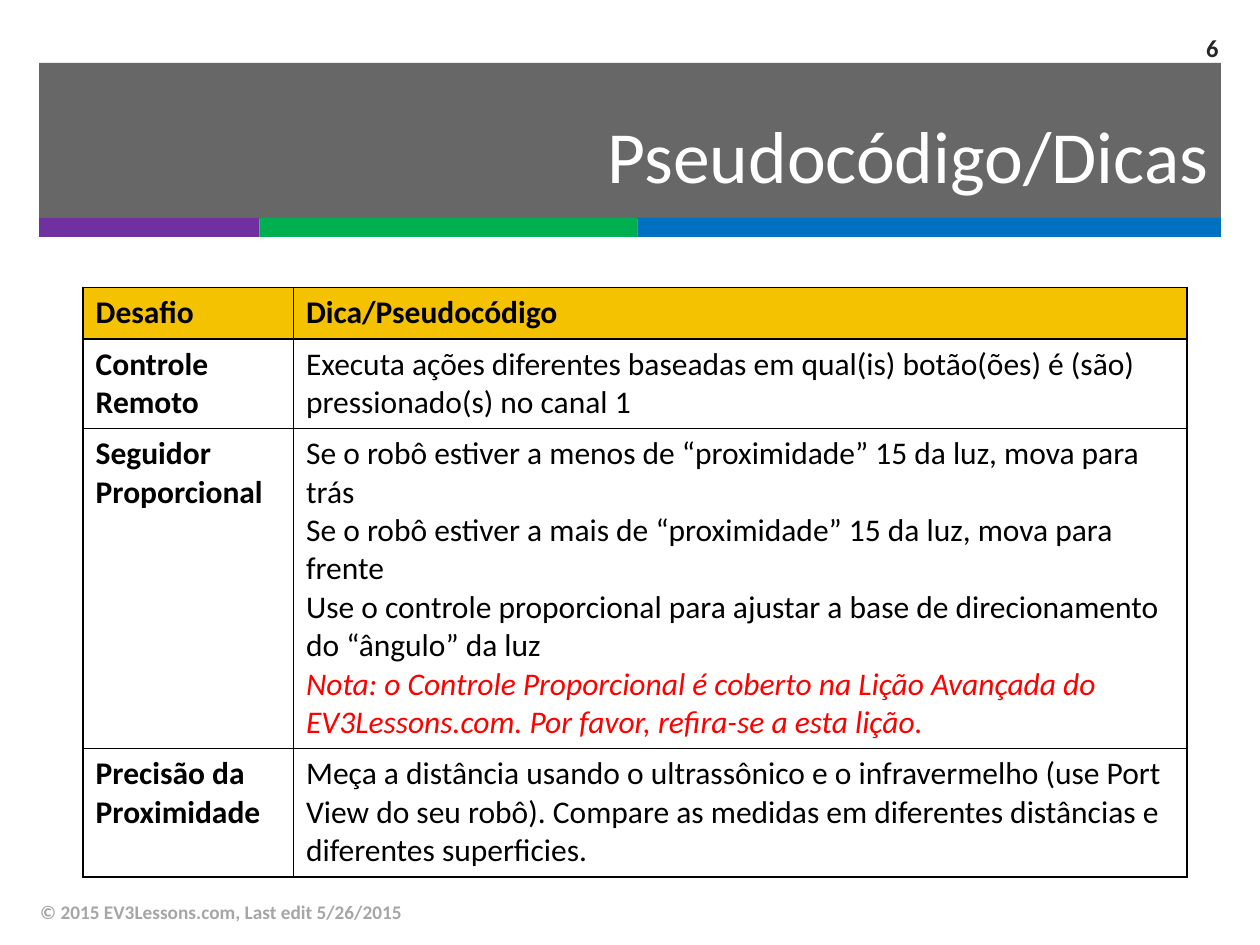
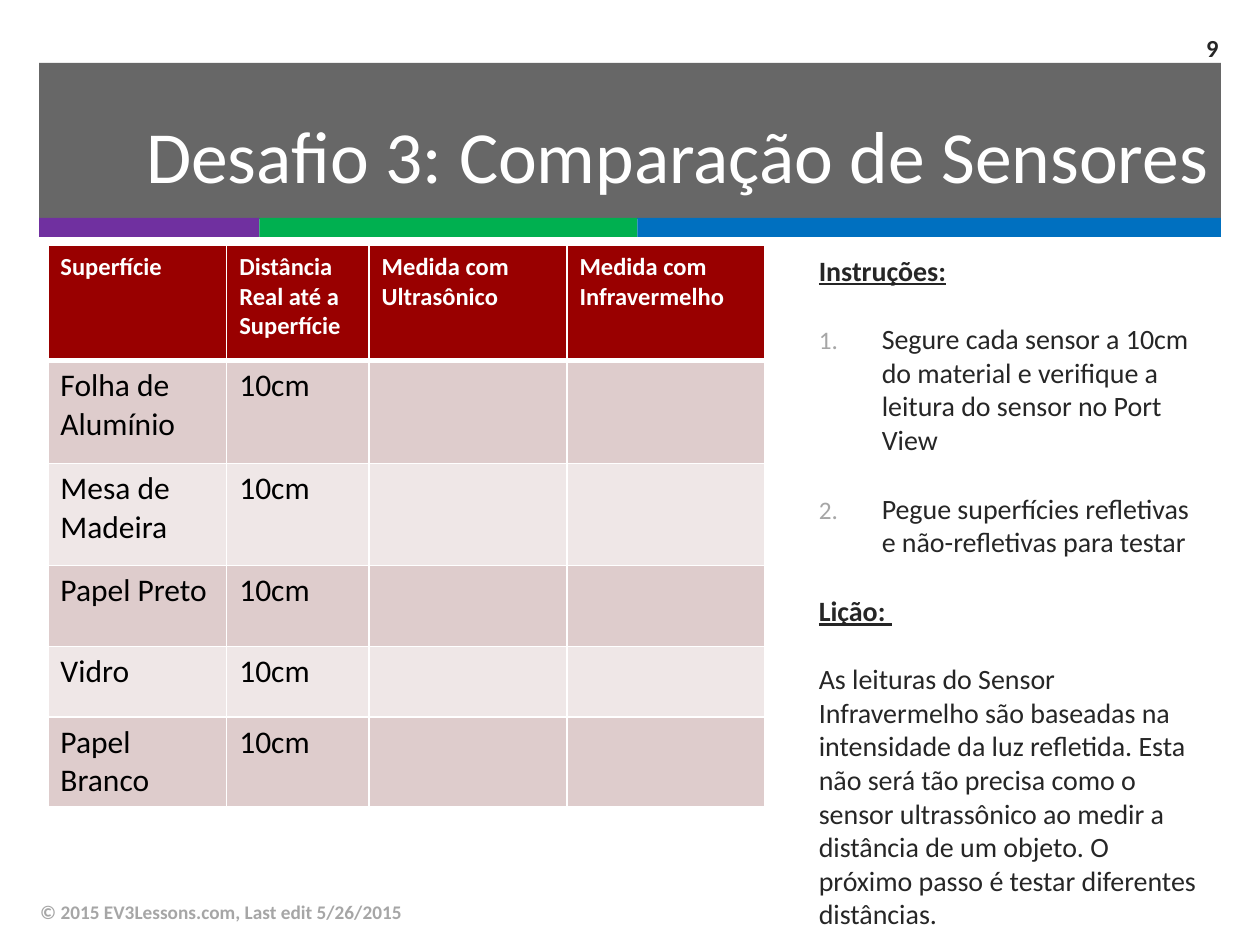
from lxml import etree
from pptx import Presentation
from pptx.dml.color import RGBColor
from pptx.enum.shapes import MSO_SHAPE
from pptx.enum.text import MSO_ANCHOR, MSO_AUTO_SIZE, PP_ALIGN
from pptx.oxml.ns import qn
from pptx.util import Inches, Pt

RECT = MSO_SHAPE.RECTANGLE
MIDDLE = MSO_ANCHOR.MIDDLE
RIGHT = PP_ALIGN.RIGHT
FIXED = MSO_AUTO_SIZE.NONE

WHITE = RGBColor(0xFF, 0xFF, 0xFF)
BLACK = RGBColor(0, 0, 0)
INK = RGBColor(0x26, 0x26, 0x26)
BAND = RGBColor(0x67, 0x67, 0x67)
PURPLE = RGBColor(0x70, 0x30, 0xA0)
GREEN = RGBColor(0x00, 0xB0, 0x50)
BLUE = RGBColor(0x00, 0x70, 0xC0)
MUTED = RGBColor(0xA6, 0xA6, 0xA6)
GOLD = RGBColor(0xF5, 0xC2, 0x01)
RED = RGBColor(0xFF, 0, 0)
WINE = RGBColor(0x99, 0, 0)
ROSE = RGBColor(0xDE, 0xCC, 0xCC)
PALE = RGBColor(0xEF, 0xE7, 0xE7)

FONT = "Calibri"
FOOTER = "© 2015 EV3Lessons.com, Last edit 5/26/2015"
STRIPES = [(1.75, PURPLE), (3, GREEN), (4.63, BLUE)]

TITLE = dict(size=42, color=WHITE)
FOOT = dict(size=11, color=MUTED, bold=True)
PAGE = dict(size=14, color=INK, bold=True)
PLAIN = dict(size=18, color=BLACK, bold=False)
STRONG = dict(PLAIN, bold=True)
NOTE = dict(PLAIN, color=RED, italic=True)
HEAD = dict(size=14, color=WHITE, bold=True)
BODY = dict(size=16, color=INK)
LABEL = dict(BODY, bold=True, underline=True)

HINTS = [
    ("Desafio", ["Dica/Pseudocódigo"]),
    ("Controle Remoto", [
        "Executa ações diferentes baseadas em qual(is) botão(ões) é (são) "
        "pressionado(s) no canal 1"]),
    ("Seguidor Proporcional", [
        "Se o robô estiver a menos de “proximidade” 15 da luz, mova para trás",
        "Se o robô estiver a mais de “proximidade” 15 da luz, mova para frente",
        "Use o controle proporcional para ajustar a base de direcionamento "
        "do “ângulo” da luz",
        "Nota: o Controle Proporcional é coberto na Lição Avançada do "
        "EV3Lessons.com. Por favor, refira-se a esta lição."]),
    ("Precisão da Proximidade", [
        "Meça a distância usando o ultrassônico e o infravermelho (use Port "
        "View do seu robô). Compare as medidas em diferentes distâncias e "
        "diferentes superficies."]),
]
HEADS = ["Superfície", "Distância Real até a Superfície",
         "Medida com Ultrasônico", "Medida com Infravermelho"]
SURFACES = ["Folha de Alumínio", "Mesa de Madeira", "Papel Preto", "Vidro",
            "Papel Branco"]
DISTANCE = "10cm"
# text, format, numbered
STEPS = [
    ("Instruções:", LABEL, False),
    ("Segure cada sensor a 10cm do material e verifique a leitura do sensor "
     "no Port View", BODY, True),
    ("Pegue superfícies refletivas e não-refletivas para testar", BODY, True),
    ("Lição: ", LABEL, False),
    ("As leituras do Sensor Infravermelho são baseadas na intensidade da luz "
     "refletida. Esta não será tão precisa como o sensor ultrassônico ao medir "
     "a distância de um objeto. O próximo passo é testar diferentes "
     "distâncias.", BODY, False),
]


def style(font, form):
    font.name = FONT
    for name, value in form.items():
        if name == "color":
            font.color.rgb = value
        else:
            setattr(font, name, Pt(value) if name == "size" else value)


def write(frame, lines, align=None):
    """Fill a text frame with (text, format) lines; return the paragraphs."""
    paras = []
    for i, (text, form) in enumerate(lines):
        para = frame.add_paragraph() if i else frame.paragraphs[0]
        para.alignment = align
        run = para.add_run()
        run.text = text
        style(run.font, form)
        paras.append(para)
    return paras


def add_rect(slide, x, y, w, h, color):
    rect = slide.shapes.add_shape(RECT, *map(Inches, (x, y, w, h)))
    rect.shadow.inherit = False
    rect.fill.solid()
    rect.fill.fore_color.rgb = color
    rect.line.fill.background()


def add_text(slide, box, lines, anchor=None, align=None):
    frame = slide.shapes.add_textbox(*map(Inches, box)).text_frame
    frame.word_wrap = True
    frame.vertical_anchor = anchor
    return write(frame, lines, align)


def add_page(deck, title, number):
    """Add a slide with the shared title, bands, footer and number."""
    slide = deck.slides.add_slide(deck.slide_layouts[5])
    add_rect(slide, 0.31, 0.5, 9.38, 1.24, BAND)
    x = 0.31
    for width, color in STRIPES:
        add_rect(slide, x, 1.73, width, 0.15, color)
        x += width
    head = slide.shapes.title
    head.left, head.top, head.width, head.height = map(
        Inches, (0.31, 0.69, 9.38, 1.06))
    head.element.getparent().append(head.element)  # in front of the band
    head.text_frame.auto_size = FIXED
    head.text_frame.vertical_anchor = MIDDLE
    write(head.text_frame, [(title, TITLE)], RIGHT)
    add_text(slide, (0.22, 7.04, 6.7, 0.4), [(FOOTER, FOOT)], MIDDLE)
    add_text(slide, (9.08, 0.18, 0.69, 0.39), [(number, PAGE)], MIDDLE, RIGHT)
    return slide


def set_edges(cell, color, bottom):
    props = cell._tc.get_or_add_tcPr()
    for side in "LRTB":
        width = Pt(bottom if side == "B" else 1)
        line = etree.SubElement(props, qn("a:ln" + side), w=str(width))
        fill = etree.SubElement(line, qn("a:solidFill"))
        etree.SubElement(fill, qn("a:srgbClr"), val=str(color))


def add_grid(slide, x, y, cols, rows, cells, edge, fills, rule=1):
    """Draw a table; each cell is a list of lines, each row has one fill.

    rule is the width of the line under the first row.
    """
    table = slide.shapes.add_table(
        len(rows), len(cols), Inches(x), Inches(y),
        Inches(sum(cols)), Inches(sum(rows))).table
    for col, width in zip(table.columns, cols):
        col.width = Inches(width)
    for r, height in enumerate(rows):
        table.rows[r].height = Inches(height)
        for c, lines in enumerate(cells[r]):
            cell = table.cell(r, c)
            set_edges(cell, edge, 1 if r else rule)
            if fills[r] is None:
                cell.fill.background()
            else:
                cell.fill.solid()
                cell.fill.fore_color.rgb = fills[r]
            write(cell.text_frame, lines)


def add_number(para):
    props = para._p.get_or_add_pPr()
    props.set("marL", str(Inches(0.5)))
    props.set("indent", str(-Inches(0.5)))
    color = etree.SubElement(props, qn("a:buClr"))
    etree.SubElement(color, qn("a:srgbClr"), val=str(MUTED))
    etree.SubElement(props, qn("a:buSzPct"), val="90000")
    etree.SubElement(props, qn("a:buFont"), typeface=FONT)
    etree.SubElement(props, qn("a:buAutoNum"), type="arabicPeriod")


def hint_form(row, text):
    if row == 0:
        return STRONG
    return NOTE if text.startswith("Nota:") else PLAIN


def add_hints(deck):
    slide = add_page(deck, "Pseudocódigo/Dicas", "6")
    cells = [([(name, STRONG)], [(t, hint_form(r, t)) for t in texts])
             for r, (name, texts) in enumerate(HINTS)]
    add_grid(slide, 0.66, 2.28, [1.67, 7.09], [0.41, 0.71, 2.54, 1.02],
             cells, BLACK, [GOLD, None, None, None])


def add_sensors(deck):
    slide = add_page(deck, "Desafio 3: Comparação de Sensores", "9")
    paras = add_text(slide, (6.4, 1.96, 3.29, 4.37),
                     [(text, form) for text, form, _ in STEPS])
    for i, (para, step) in enumerate(zip(paras, STEPS)):
        if i:
            para.space_before = Pt(20)
        if step[2]:
            add_number(para)
    cells = [[[(head, HEAD)] for head in HEADS]]
    cells += [[[(name, PLAIN)], [(DISTANCE, PLAIN)], [], []]
              for name in SURFACES]
    fills = [WINE] + [PALE if i % 2 else ROSE for i in range(len(SURFACES))]
    add_grid(slide, 0.38, 1.95, [1.42, 1.13, 1.57, 1.57],
             [0.91, 0.82, 0.81, 0.64, 0.56, 0.71], cells, WHITE, fills, 3)


def main():
    deck = Presentation()
    deck.slide_width, deck.slide_height = Inches(10), Inches(7.5)
    add_hints(deck)
    add_sensors(deck)
    deck.save("out.pptx")


if __name__ == "__main__":
    main()
